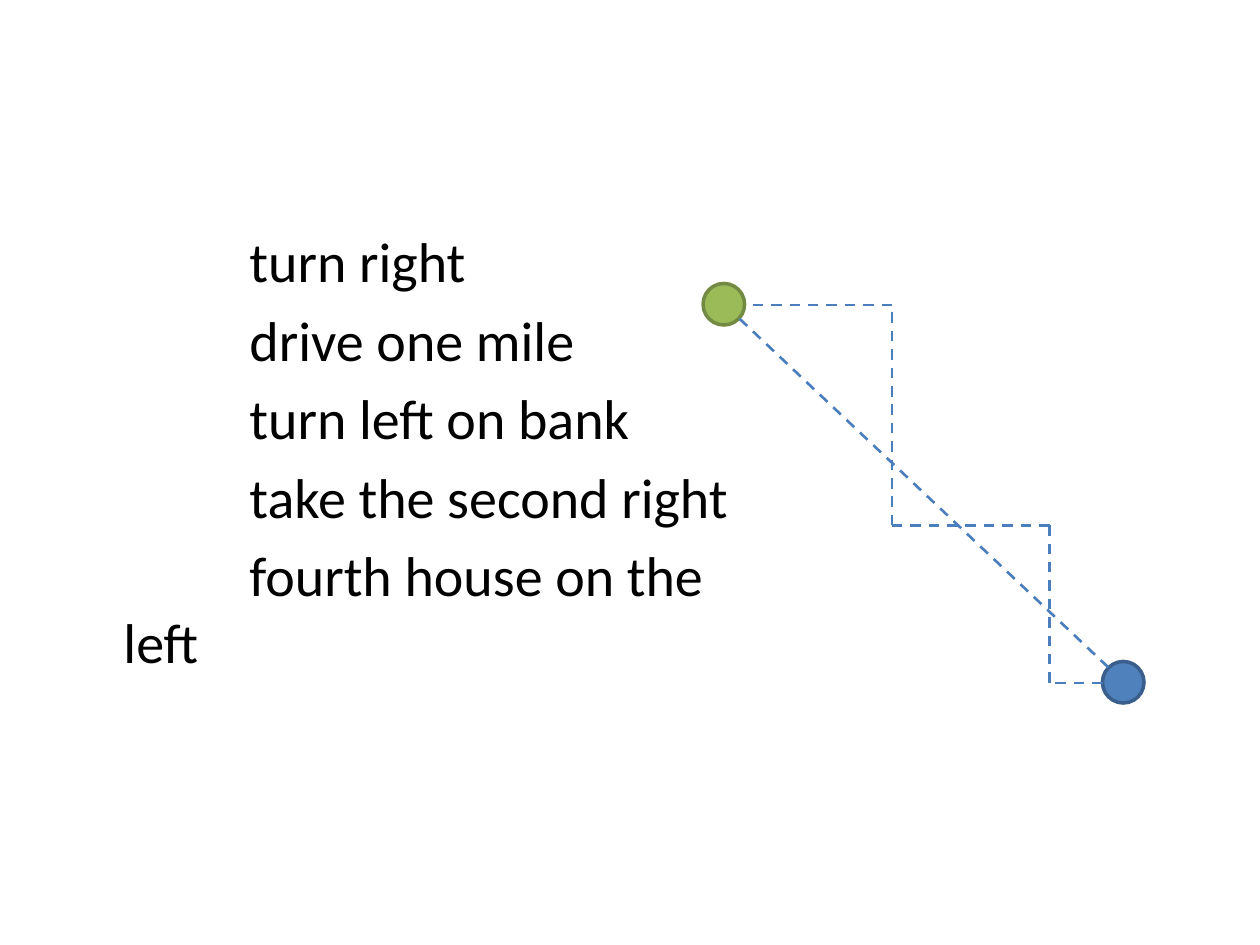
from itertools import pairwise

from lxml import etree
from pptx import Presentation
from pptx.dml.color import RGBColor
from pptx.enum.dml import MSO_LINE_DASH_STYLE as Dash
from pptx.enum.shapes import MSO_CONNECTOR as Connector, MSO_SHAPE as Shape
from pptx.oxml.ns import qn
from pptx.util import Inches, Pt

BLACK = RGBColor(0x00, 0x00, 0x00)
ROUTE_BLUE = RGBColor(0x4B, 0x7E, 0xBC)
BLUE, BLUE_EDGE = RGBColor(0x4F, 0x81, 0xBD), RGBColor(0x3A, 0x5F, 0x8C)
GREEN, GREEN_EDGE = RGBColor(0x9B, 0xBB, 0x59), RGBColor(0x73, 0x8A, 0x42)

DIRECTIONS = [
    "turn right",
    "drive one mile",
    "turn left on bank",
    "take the second right",
    "fourth house on the left",
]
TEXT_FORMAT = {"size": Pt(32), "name": "Calibri"}
TEXT_AREA = {"left": 0.5, "top": 1.75, "width": 5.58, "height": 4.95}
INDENTS = {"marL": Inches(0.38), "indent": Inches(1)}

MARKER_SIZE = 0.33
MARKERS = [(8.75, 5.25, BLUE, BLUE_EDGE), (5.58, 2.25, GREEN, GREEN_EDGE)]
DIRECT_PATH = [(5.87, 2.53), (8.8, 5.3)]
STREET_PATH = [(8.75, 5.42), (8.33, 5.42), (8.33, 4.17),
               (7.08, 4.17), (7.08, 2.42), (5.92, 2.42)]


def write_directions(placeholder):
    """Place the body text and indent the first line of each direction."""
    for side, value in TEXT_AREA.items():
        setattr(placeholder, side, Inches(value))
    frame = placeholder.text_frame
    frame.text = "\n".join(DIRECTIONS)
    for paragraph in frame.paragraphs:
        properties = paragraph._p.get_or_add_pPr()
        for name, value in INDENTS.items():
            properties.set(name, str(value))
        etree.SubElement(properties, qn("a:buNone"))
        font = paragraph.runs[0].font
        for name, value in TEXT_FORMAT.items():
            setattr(font, name, value)
        font.color.rgb = BLACK


def add_marker(shapes, left, top, fill, edge):
    """Add a round marker for one end of the trip."""
    marker = shapes.add_shape(Shape.OVAL, *map(Inches, (left, top, MARKER_SIZE, MARKER_SIZE)))
    marker.shadow.inherit = False
    marker.fill.solid()
    marker.fill.fore_color.rgb = fill
    marker.line.color.rgb = edge
    marker.line.width = Pt(2)


def add_path(shapes, points):
    """Join consecutive points with dashed lines."""
    for start, end in pairwise(points):
        leg = shapes.add_connector(Connector.STRAIGHT, *map(Inches, start + end))
        leg.line.color.rgb = ROUTE_BLUE
        leg.line.width = Pt(1.5)
        leg.line.dash_style = Dash.DASH
        etree.SubElement(leg._element.spPr, qn("a:effectLst"))


presentation = Presentation()
presentation.slide_width, presentation.slide_height = Inches(10), Inches(7.5)
slide = presentation.slides.add_slide(presentation.slide_layouts[1])
title = slide.shapes.title._element
title.getparent().remove(title)

write_directions(slide.placeholders[1])
for marker_values in MARKERS:
    add_marker(slide.shapes, *marker_values)
for path_points in (DIRECT_PATH, STREET_PATH):
    add_path(slide.shapes, path_points)

presentation.save("out.pptx")
